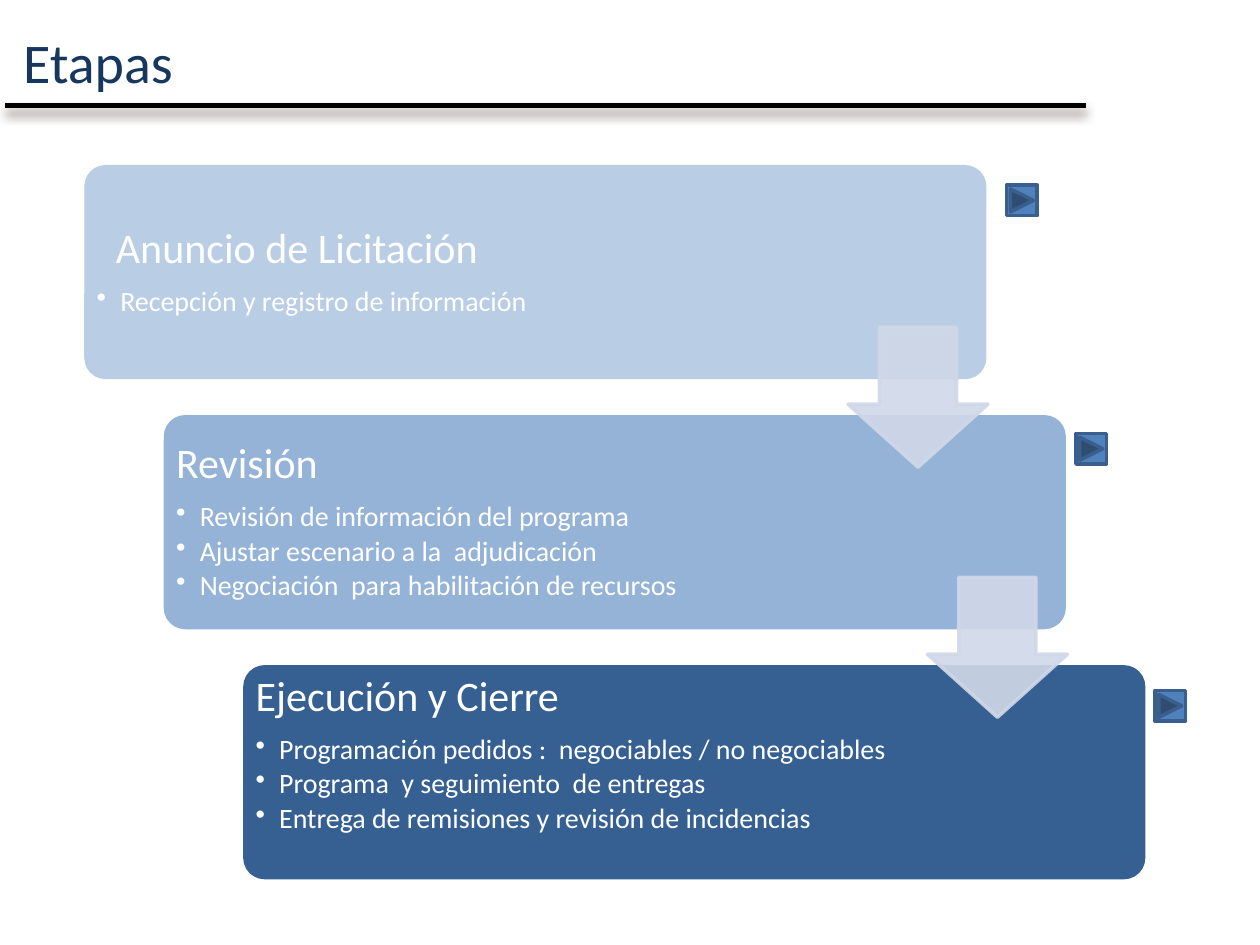
from dataclasses import dataclass

import lxml.etree
import pptx
import pptx.dml.color
import pptx.enum.shapes
import pptx.enum.text
import pptx.oxml.ns
import pptx.util

Pt = pptx.util.Pt
SHAPES = pptx.enum.shapes.MSO_SHAPE
ALIGN = pptx.enum.text.PP_ALIGN
ANCHOR = pptx.enum.text.MSO_ANCHOR


@dataclass(frozen=True)
class Theme:
    font: str = "Calibri"
    title_size: float = 32
    heading_size: float = 24
    body_size: float = 16
    title: str = "17375E"
    text: str = "FFFFFF"
    rule: str = "000000"
    rule_shadow: str = "4E3B30"
    arrow: str = "D0D8E8"
    button: str = "4F81BD"
    button_line: str = "3A5F8C"


@dataclass(frozen=True)
class Stage:
    heading: str
    items: tuple
    fill: str
    button_offset: tuple
    heading_indent: float = 0
    bottom_inset: float = 7.2


THEME = Theme()
STAGES = (
    Stage("Anuncio de Licitación", ("Recepción y registro de información",),
          "B9CDE5", (527, 11.5), heading_indent=11),
    Stage("Revisión", ("Revisión de información del programa",
                       "Ajustar escenario a la  adjudicación",
                       "Negociación  para habilitación de recursos"),
          "95B3D7", (521.2, 10.5)),
    Stage("Ejecución y Cierre", ("Programación pedidos :  negociables / no negociables",
                                 "Programa  y seguimiento  de entregas",
                                 "Entrega de remisiones y revisión de incidencias"),
          "376092", (521, 14.5), bottom_inset=27),
)
FIRST_BOX = (48.2, 94.3, 515.5, 122.4)
STEP = (45.4, 142.9)
ARROW_OFFSET = (436.4, 92.7)


def color(value):
    return pptx.dml.color.RGBColor.from_string(value)


def add_child(parent, tag, **attributes):
    names = {name: str(value) for name, value in attributes.items()}
    return lxml.etree.SubElement(parent, pptx.oxml.ns.qn(tag), names)


def add_run(paragraph, text, size, text_color):
    run = paragraph.add_run()
    run.text = text
    run.font.name = THEME.font
    run.font.size = Pt(size)
    run.font.color.rgb = color(text_color)


def add_filled_shape(slide, kind, box, fill, line=None):
    shape = slide.shapes.add_shape(kind, *map(Pt, box))
    shape.shadow.inherit = False
    shape.fill.solid()
    shape.fill.fore_color.rgb = color(fill)
    if line:
        shape.line.color.rgb = color(line)
        shape.line.width = Pt(2)
    else:
        shape.line.fill.background()
    return shape


def place_title(slide, box, text):
    title = slide.shapes.title
    title.left, title.top, title.width, title.height = map(Pt, box)
    frame = title.text_frame
    frame.auto_size = pptx.enum.text.MSO_AUTO_SIZE.NONE
    frame.vertical_anchor = ANCHOR.MIDDLE
    paragraph = frame.paragraphs[0]
    paragraph.alignment = ALIGN.LEFT
    add_run(paragraph, text, THEME.title_size, THEME.title)


def add_title_rule(slide, left, right, top):
    rule = slide.shapes.add_connector(pptx.enum.shapes.MSO_CONNECTOR.STRAIGHT,
                                      Pt(left), Pt(top), Pt(right), Pt(top))
    rule.line.color.rgb = color(THEME.rule)
    rule.line.width = Pt(3)
    effects = add_child(rule._element.spPr, "a:effectLst")
    shadow = add_child(effects, "a:outerShdw", blurRad=Pt(6), dist=Pt(4),
                       dir=90 * 60000, rotWithShape=0)
    tint = add_child(shadow, "a:srgbClr", val=THEME.rule_shadow)
    add_child(tint, "a:alpha", val=60000)


def format_paragraph(paragraph, space_after):
    paragraph.alignment = ALIGN.LEFT
    paragraph.line_spacing = 0.9
    paragraph.space_after = Pt(space_after)
    return paragraph._p.get_or_add_pPr()


def add_stage(slide, box, stage):
    """Draw the rounded panel with its heading and bulleted items."""
    left, top, width, height = box
    panel = add_filled_shape(slide, SHAPES.ROUNDED_RECTANGLE, box, stage.fill)
    panel.adjustments[0] = 0.1

    text_box = slide.shapes.add_textbox(Pt(left), Pt(top), Pt(390.5), Pt(height))
    frame = text_box.text_frame
    frame.word_wrap = True
    frame.vertical_anchor = ANCHOR.MIDDLE
    frame.margin_left = frame.margin_right = frame.margin_top = Pt(7.2)
    frame.margin_bottom = Pt(stage.bottom_inset)

    heading = frame.paragraphs[0]
    format_paragraph(heading, 8.4).set("marL", str(Pt(stage.heading_indent)))
    add_run(heading, stage.heading, THEME.heading_size, THEME.text)
    for item in stage.items:
        paragraph = frame.add_paragraph()
        paragraph.level = 1
        properties = format_paragraph(paragraph, 2.4)
        properties.set("marL", str(Pt(13.5)))
        properties.set("indent", str(Pt(-13.5)))
        add_child(properties, "a:buChar", char="•")
        add_run(paragraph, item, THEME.body_size, THEME.text)


def add_stage_arrow(slide, box):
    arrow = add_filled_shape(slide, SHAPES.DOWN_ARROW, box, THEME.arrow, THEME.arrow)
    arrow.adjustments[0] = 0.55
    arrow.adjustments[1] = 0.45
    for tint in arrow._element.spPr.iter(pptx.oxml.ns.qn("a:srgbClr")):
        add_child(tint, "a:alpha", val=90000)


def add_stages(slide, first_box, stages):
    """Lay the panels out as a staircase, then the arrows and buttons on top."""
    left, top, width, height = first_box
    corners = [(left + STEP[0] * index, top + STEP[1] * index)
               for index in range(len(stages))]
    for (x, y), stage in zip(corners, stages):
        add_stage(slide, (x, y, width, height), stage)
    for x, y in corners[:-1]:
        add_stage_arrow(slide, (x + ARROW_OFFSET[0], y + ARROW_OFFSET[1], 80, 80))
    for (x, y), stage in zip(corners, stages):
        offset_x, offset_y = stage.button_offset
        add_filled_shape(slide, SHAPES.ACTION_BUTTON_FORWARD_OR_NEXT,
                         (x + offset_x, y + offset_y, 17.5, 17.5),
                         THEME.button, THEME.button_line)


def main():
    presentation = pptx.Presentation()
    presentation.slide_width, presentation.slide_height = Pt(720), Pt(540)
    slide = presentation.slides.add_slide(presentation.slide_layouts[5])
    place_title(slide, (6, 8, 570, 54), "Etapas")
    add_title_rule(slide, 3, 620.5, 60.3)
    add_stages(slide, FIRST_BOX, STAGES)
    presentation.save("out.pptx")


if __name__ == "__main__":
    main()
